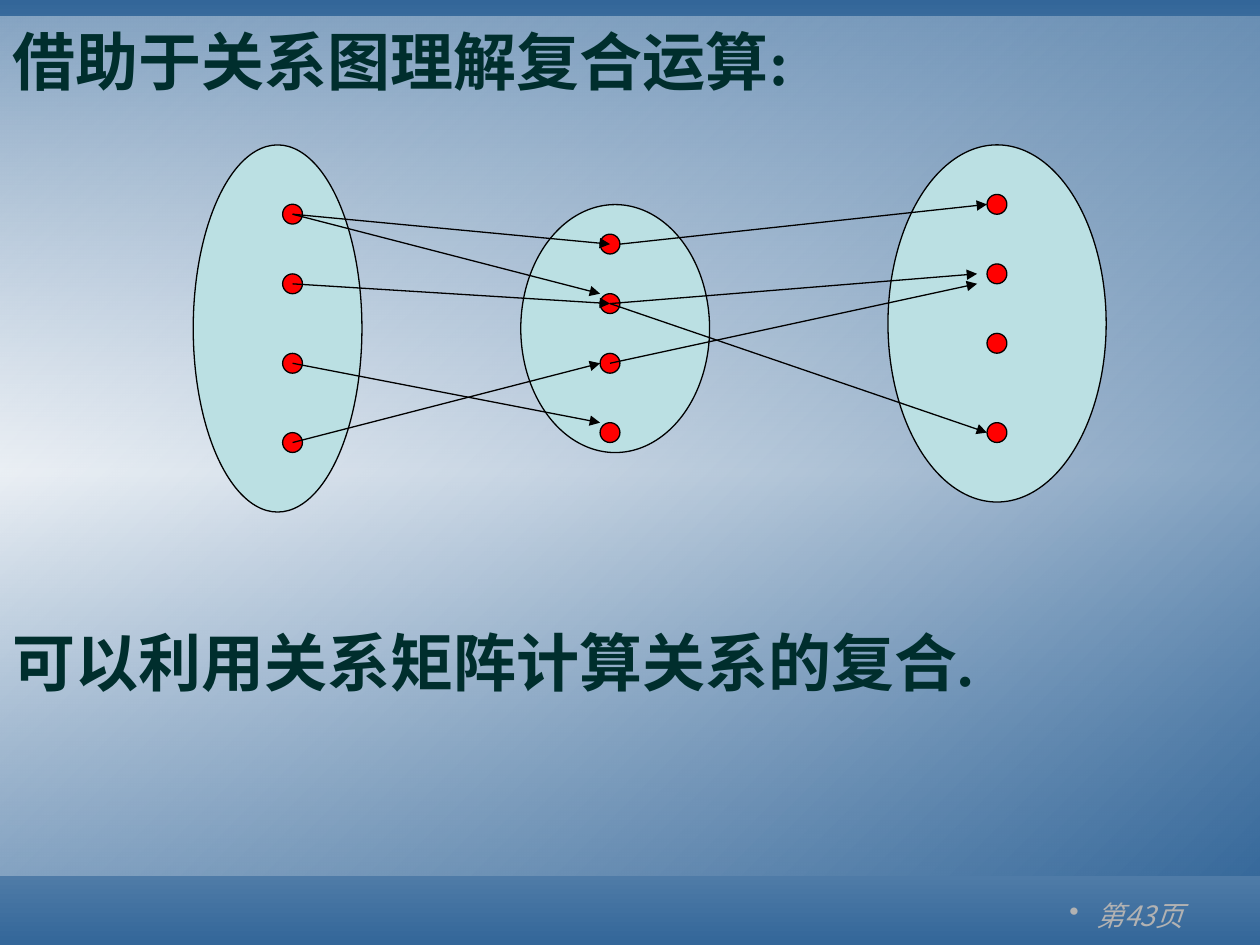
"""Builds a slide that explains composition of relations with an arrow diagram."""
from copy import deepcopy

from lxml import etree
from pptx import Presentation
from pptx import util as u
from pptx.dml.color import RGBColor
from pptx.enum import shapes, text
from pptx.oxml.ns import qn

COLOURS = {"blue": "336699", "white": "FFFFFF", "ink": "002E2D", "grey": "B2B2B2",
           "set": "BBE0E3", "dot": "FF0000", "line": "000000"}
LATIN, ASIAN = "Times New Roman", "Noto Sans CJK SC"
RADIUS = 5.67

SETS = [(110.4, 82.8, 96.4, 209.8), (297.6, 116.9, 107.9, 141.7), (507.4, 82.8, 124.7, 204.1)]
DOTS = {
    "left": (167.2, [122.4, 162.2, 207.6, 252.9]),
    "middle": (348.6, [139.5, 173.5, 207.6, 247.2]),
    "right": (569.7, [116.8, 156.5, 196.2, 247.2]),
}
# Each end is a column, a dot index, and an offset from its centre in radii.
ARROWS = [
    (("left", 0, 0, 0), ("middle", 0, 0, 0)),
    (("left", 0, 0, 0), ("middle", 1, -1, -1)),
    (("left", 1, 0, 0), ("middle", 1, 0, 0)),
    (("left", 3, 0, 0), ("middle", 2, -1, 0)),
    (("left", 2, 0, 0), ("middle", 3, -1, -1)),
    (("middle", 0, 1, 0), ("right", 0, -1, 0)),
    (("middle", 1, 0, 0), ("right", 1, -2, 0)),
    (("middle", 1, 0, 0), ("right", 3, -1, 0)),
    (("middle", 2, 0, 0), ("right", 1, -2, 1)),
]


def colour(name):
    """Return the named colour."""
    return RGBColor.from_string(COLOURS[name])


def set_gradient(fill, angle, stops):
    """Fill with a linear gradient of (percent, colour, opacity) stops."""
    fill.gradient()
    fill.gradient_angle = angle
    stop_list = fill.gradient_stops[0]._gs.getparent()
    while len(stop_list) < len(stops):
        stop_list.append(deepcopy(stop_list[0]))
    for stop, (percent, name, opacity) in zip(fill.gradient_stops, stops):
        stop.position = percent / 100
        stop.color.rgb = colour(name)
        if opacity < 100:
            etree.SubElement(stop._gs[0], qn("a:alpha"), val=str(opacity * 1000))


def add_span(para, wording, size, name, font=LATIN, bold=False, italic=False):
    """Append one styled run to a paragraph."""
    span = para.add_run()
    span.text = wording
    span.font.size = u.Pt(size)
    span.font.name = font
    span.font.bold, span.font.italic = bold, italic
    span.font.color.rgb = colour(name)
    latin = span._r.rPr.find(qn("a:latin"))
    latin.addnext(etree.Element(qn("a:ea"), typeface=ASIAN))


def add_panel(slide):
    """Add the translucent panel that carries the two statements."""
    panel = slide.shapes.add_shape(shapes.MSO_SHAPE.RECTANGLE,
                                   u.Pt(0), u.Pt(9.4), u.Pt(720), u.Pt(491))
    panel.shadow.inherit = False
    panel.line.fill.background()
    set_gradient(panel.fill, 315, [(0, "white", 39), (100, "blue", 82)])
    frame = panel.text_frame
    frame.word_wrap = True
    frame.vertical_anchor = text.MSO_ANCHOR.TOP
    statements = ["借助于关系图理解复合运算:", "可以利用关系矩阵计算关系的复合."]
    for para, wording in zip([frame.paragraphs[0], frame.add_paragraph()], statements):
        para.alignment = text.PP_ALIGN.LEFT
        add_span(para, wording, 36, "ink", bold=True)
    frame.paragraphs[1].space_before = u.Pt(300)


def add_page_number(slide):
    """Add the bulleted page number at the lower right."""
    box = slide.shapes.add_textbox(u.Pt(604), u.Pt(509.8), u.Pt(79.3), u.Pt(26.6))
    box.text_frame.word_wrap = True
    para = box.text_frame.paragraphs[0]
    etree.SubElement(para._p.get_or_add_pPr(), qn("a:buChar"), char="•")
    para.alignment = text.PP_ALIGN.RIGHT
    add_span(para, "第43页", 16, "grey", font=ASIAN, italic=True)


def add_ellipse(slide, left, top, width, height, name):
    """Add an outlined ellipse."""
    ellipse = slide.shapes.add_shape(shapes.MSO_SHAPE.OVAL,
                                     u.Pt(left), u.Pt(top), u.Pt(width), u.Pt(height))
    ellipse.shadow.inherit = False
    ellipse.fill.solid()
    ellipse.fill.fore_color.rgb = colour(name)
    ellipse.line.color.rgb = colour("line")
    ellipse.line.width = u.Pt(0.75)


def locate(column, index, across, down):
    """Return the point at an offset in radii from a dot's centre."""
    x, centres = DOTS[column]
    return u.Pt(x + across * RADIUS), u.Pt(centres[index] + down * RADIUS)


def add_arrow(slide, start, end):
    """Add an arrow between two located ends."""
    arrow = slide.shapes.add_connector(shapes.MSO_CONNECTOR.STRAIGHT,
                                       *locate(*start), *locate(*end))
    arrow.line.color.rgb = colour("line")
    arrow.line.width = u.Pt(0.75)
    etree.SubElement(arrow.line._get_or_add_ln(), qn("a:tailEnd"), type="triangle")
    etree.SubElement(arrow._element.spPr, qn("a:effectLst"))


def main():
    """Build and save the slide."""
    deck = Presentation()
    deck.slide_width, deck.slide_height = u.Pt(720), u.Pt(540)
    page = deck.slides.add_slide(deck.slide_layouts[6])
    set_gradient(page.background.fill, 270,
                 [(0, "blue", 100), (50, "white", 100), (100, "blue", 100)])
    add_page_number(page)
    add_panel(page)
    for bounds in SETS:
        add_ellipse(page, *bounds, "set")
    for x, centres in DOTS.values():
        for y in centres:
            add_ellipse(page, x - RADIUS, y - RADIUS, 2 * RADIUS, 2 * RADIUS, "dot")
    for start, end in ARROWS:
        add_arrow(page, start, end)
    deck.save("out.pptx")


if __name__ == "__main__":
    main()
